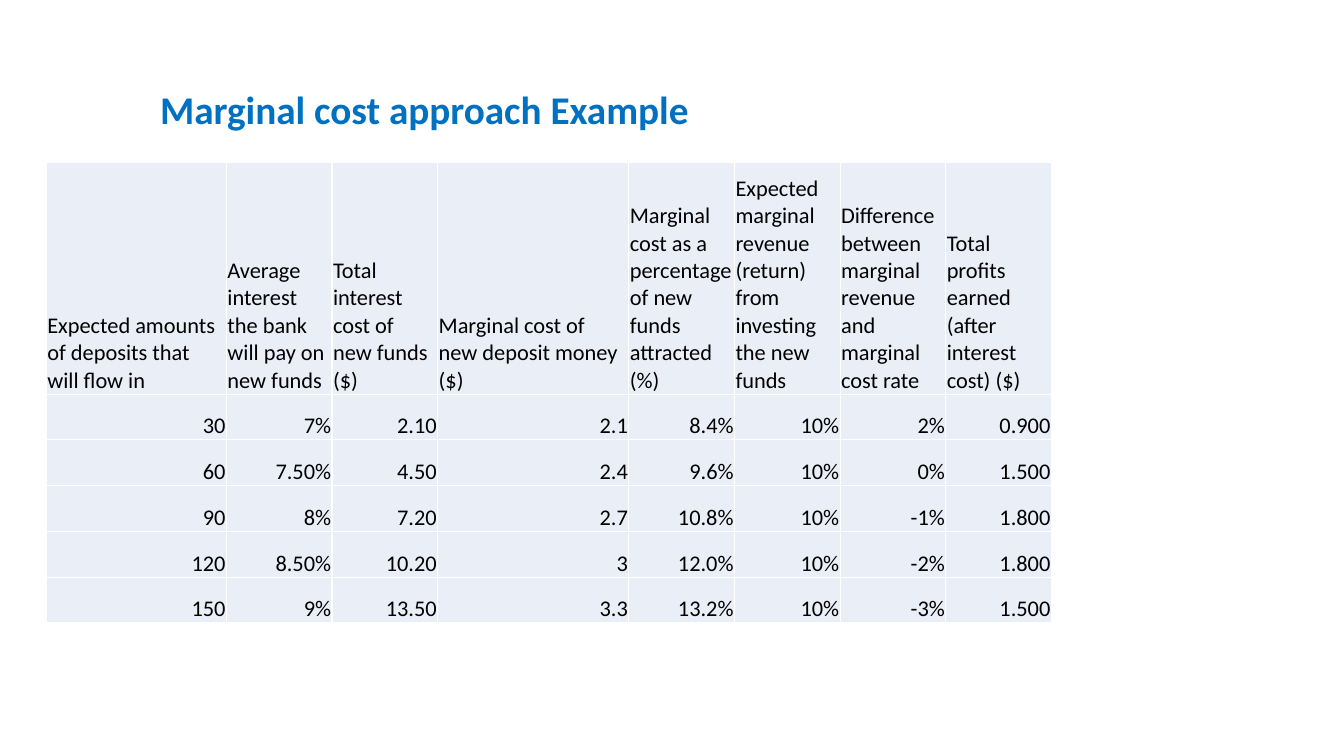
import pptx
import pptx.dml.color
import pptx.enum.text
import pptx.oxml
import pptx.oxml.ns
import pptx.util

Inches = pptx.util.Inches
Pt = pptx.util.Pt
ANCHOR = pptx.enum.text.MSO_ANCHOR
ALIGN = pptx.enum.text.PP_ALIGN

FONT = "Calibri"
TITLE_BLUE = "0070C0"
CELL_FILL = "EAEFF7"
BORDER = "FFFFFF"
TEXT = "000000"

COLUMN_WIDTHS = [1.79, 1.05, 1.05, 1.9, 1.05, 1.05, 1.05, 1.05]
HEADER_HEIGHT = 2.3
ROWS = [
    ["Expected amounts of deposits that will flow in",
     "Average interest the bank will pay on new funds",
     "Total interest cost of new funds ($)",
     "Marginal cost of new deposit money ($)",
     "Marginal cost as a percentage of new funds attracted (%)",
     "Expected marginal revenue (return) from investing the new funds",
     "Difference between marginal revenue and marginal cost rate",
     "Total profits earned (after interest cost) ($)"],
    ["30", "7%", "2.10", "2.1", "8.4%", "10%", "2%", "0.900"],
    ["60", "7.50%", "4.50", "2.4", "9.6%", "10%", "0%", "1.500"],
    ["90", "8%", "7.20", "2.7", "10.8%", "10%", "-1%", "1.800"],
    ["120", "8.50%", "10.20", "3", "12.0%", "10%", "-2%", "1.800"],
    ["150", "9%", "13.50", "3.3", "13.2%", "10%", "-3%", "1.500"],
]


def color(hex_string):
    return pptx.dml.color.RGBColor.from_string(hex_string)


def format_runs(paragraph, size, hex_string, bold=False):
    for run in paragraph.runs:
        run.font.name = FONT
        run.font.size = Pt(size)
        run.font.bold = bold
        run.font.color.rgb = color(hex_string)


def add_title(slide, left, top, width, height):
    box = slide.shapes.add_textbox(Inches(left), Inches(top), Inches(width), Inches(height))
    frame = box.text_frame
    frame.word_wrap = True
    frame.vertical_anchor = ANCHOR.MIDDLE
    frame.text = "Marginal cost approach Example"
    paragraph = frame.paragraphs[0]
    paragraph.line_spacing = 0.9
    format_runs(paragraph, 28, TITLE_BLUE, bold=True)


def add_borders(cell):
    """Draw all four sides; must run before the fill is set."""
    properties = cell._tc.get_or_add_tcPr()
    for side in ("lnL", "lnR", "lnT", "lnB"):
        properties.append(pptx.oxml.parse_xml(
            f'<a:{side} {pptx.oxml.ns.nsdecls("a")} w="{Pt(1)}">'
            f'<a:solidFill><a:srgbClr val="{BORDER}"/></a:solidFill></a:{side}>'))


def format_cell(cell, text, alignment):
    add_borders(cell)
    cell.fill.solid()
    cell.fill.fore_color.rgb = color(CELL_FILL)
    cell.margin_left = cell.margin_right = cell.margin_top = Inches(0.01)
    cell.margin_bottom = 0
    cell.vertical_anchor = ANCHOR.BOTTOM
    cell.text_frame.text = text
    paragraph = cell.text_frame.paragraphs[0]
    paragraph.alignment = alignment
    format_runs(paragraph, 16, TEXT)


def add_cost_table(slide, left, top, width, height):
    table = slide.shapes.add_table(
        len(ROWS), len(COLUMN_WIDTHS),
        Inches(left), Inches(top), Inches(width), Inches(height)).table
    table.first_row = False
    table.horz_banding = False
    scale = width / sum(COLUMN_WIDTHS)
    for column, column_width in zip(table.columns, COLUMN_WIDTHS):
        column.width = Inches(column_width * scale)
    body_height = (height - HEADER_HEIGHT) / (len(ROWS) - 1)
    for row_index, texts in enumerate(ROWS):
        is_header = row_index == 0
        table.rows[row_index].height = Inches(HEADER_HEIGHT if is_header else body_height)
        for column_index, text in enumerate(texts):
            format_cell(table.cell(row_index, column_index), text,
                        ALIGN.LEFT if is_header else ALIGN.RIGHT)


def main():
    presentation = pptx.Presentation()
    presentation.slide_width = Inches(13.33)
    presentation.slide_height = Inches(7.5)
    slide = presentation.slides.add_slide(presentation.slide_layouts[6])
    add_title(slide, 1.49, 0.75, 11.5, 0.72)
    add_cost_table(slide, 0.46, 1.61, 9.97, 4.57)
    presentation.save("out.pptx")


if __name__ == "__main__":
    main()
